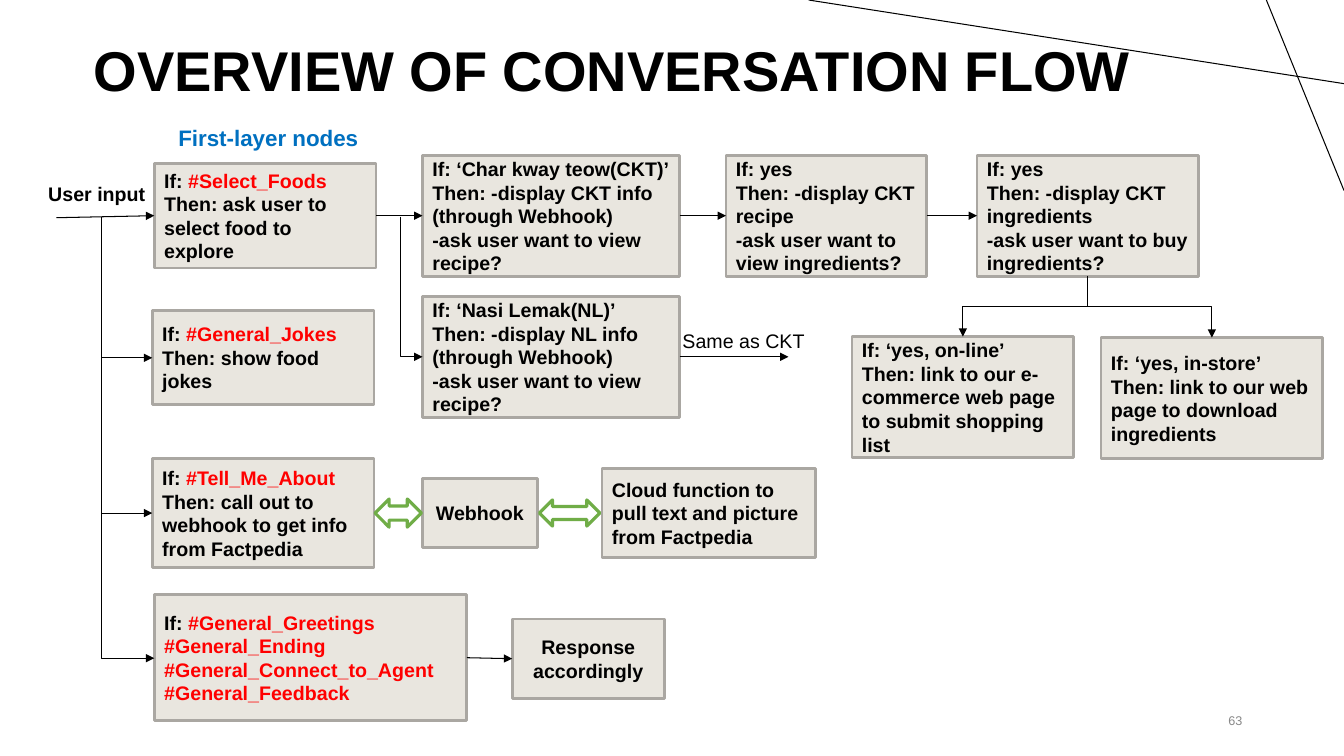
from lxml.etree import SubElement
from pptx import Presentation
from pptx.dml.color import RGBColor
from pptx.enum.shapes import MSO_CONNECTOR, MSO_SHAPE
from pptx.enum.text import MSO_ANCHOR, MSO_AUTO_SIZE, PP_ALIGN
from pptx.oxml.ns import qn
from pptx.util import Inches, Pt

COLORS = {
    "black": "000000",
    "intent": "FF0000",
    "heading": "0070C0",
    "number": "888888",
    "node": "E9E6DF",
    "border": "AAA7A2",
    "white": "FFFFFF",
    "exchange": "70AD47",
}
TOP, LEFT, BOTTOM, RIGHT = range(4)


class FlowSlide:
    """Draws the elements of a flow chart in one style on one slide."""

    def __init__(self, slide, font="Arial"):
        self.slide = slide
        self.shapes = slide.shapes
        self.font = font

    def color(self, name):
        return RGBColor.from_string(COLORS[name])

    def set_text(self, shape, text, size=14, color="black", bold=True,
                 align=PP_ALIGN.LEFT, anchor=MSO_ANCHOR.MIDDLE):
        frame = shape.text_frame
        frame.word_wrap = True
        frame.auto_size = MSO_AUTO_SIZE.NONE
        frame.vertical_anchor = anchor
        frame.text = text
        for paragraph in frame.paragraphs:
            paragraph.alignment = align
            before, mark, intent = paragraph.text.partition("#")
            if before and mark:
                paragraph.text = before
                paragraph.add_run().text = mark + intent
            for run in paragraph.runs:
                run.font.name = self.font
                run.font.size = Pt(size)
                run.font.bold = bold
                is_intent = run.text.startswith("#")
                run.font.color.rgb = self.color("intent" if is_intent else color)

    def title(self, left, top, width, height, text):
        shape = self.shapes.title
        shape.left, shape.top = Inches(left), Inches(top)
        shape.width, shape.height = Inches(width), Inches(height)
        self.set_text(shape, text, size=40, align=PP_ALIGN.CENTER)
        shape.text_frame.paragraphs[0].line_spacing = 0.9

    def label(self, left, top, width, height, text, **style):
        shape = self.shapes.add_textbox(
            Inches(left), Inches(top), Inches(width), Inches(height))
        self.set_text(shape, text, **style)

    def block(self, kind, left, top, width, height, fill, line, weight):
        shape = self.shapes.add_shape(
            kind, Inches(left), Inches(top), Inches(width), Inches(height))
        shape.shadow.inherit = False
        shape.fill.solid()
        shape.fill.fore_color.rgb = self.color(fill)
        shape.line.color.rgb = self.color(line)
        shape.line.width = Pt(weight)
        return shape

    def node(self, left, top, width, height, text, align=PP_ALIGN.LEFT):
        shape = self.block(MSO_SHAPE.RECTANGLE, left, top, width, height,
                           "node", "border", 2)
        self.set_text(shape, text, align=align)
        return shape

    def exchange(self, left, top, width, height):
        self.block(MSO_SHAPE.LEFT_RIGHT_ARROW, left, top, width, height,
                   "white", "exchange", 2.25)

    def line(self, begin, end, kind=MSO_CONNECTOR.STRAIGHT, arrow=True):
        connector = self.shapes.add_connector(
            kind, *(Inches(value) for value in (*begin, *end)))
        connector.line.color.rgb = self.color("black")
        connector.line.width = Pt(0.75)
        properties = connector._element.spPr
        if arrow:
            SubElement(properties.find(qn("a:ln")), qn("a:tailEnd"), type="triangle")
        SubElement(properties, qn("a:effectLst"))
        return connector

    def join(self, source, target):
        connector = self.line((0, 0), (1, 1))
        connector.begin_connect(source, RIGHT)
        connector.end_connect(target, LEFT)

    def elbow(self, begin, end, preset):
        """Draws an elbow arrow that leaves its start going down."""
        connector = self.line(begin, end, MSO_CONNECTOR.ELBOW)
        across, down = abs(end[0] - begin[0]), end[1] - begin[1]
        middle_x, middle_y = (begin[0] + end[0]) / 2, (begin[1] + end[1]) / 2
        connector.left = Inches(middle_x - down / 2)
        connector.top = Inches(middle_y - across / 2)
        connector.width, connector.height = Inches(down), Inches(across)
        properties = connector._element.spPr
        frame = properties.find(qn("a:xfrm"))
        rightward = end[0] > begin[0]
        frame.set("rot", "16200000" if rightward else "5400000")
        frame.set("flipH", "1" if rightward else "0")
        properties.find(qn("a:prstGeom")).set("prst", preset)


def main():
    presentation = Presentation()
    presentation.slide_width = Inches(13.33)
    presentation.slide_height = Inches(7.5)
    flow = FlowSlide(presentation.slides.add_slide(presentation.slide_layouts[5]))

    flow.line((13.33, 0.83), (8.02, 0), arrow=False)
    flow.line((12.56, 0), (13.33, 1.89), arrow=False)
    flow.title(0.51, 0, 11.12, 1.45, "OVERVIEW OF CONVERSATION FLOW")
    flow.label(1.67, 1.18, 2.17, 0.37, "First-layer nodes", size=16,
               color="heading", anchor=MSO_ANCHOR.TOP)
    flow.label(0.38, 1.76, 1.17, 0.34, "User input", anchor=MSO_ANCHOR.TOP)
    flow.label(6.67, 3.21, 1.42, 0.34, "Same as CKT", bold=False,
               anchor=MSO_ANCHOR.TOP)
    flow.label(9.42, 6.95, 3, 0.4, "63", size=9, color="number", bold=False,
               align=PP_ALIGN.RIGHT)

    foods = flow.node(1.53, 1.62, 2.2, 1.04,
                      "If: #Select_Foods\nThen: ask user to select food to explore")
    flow.node(1.51, 3.08, 2.2, 0.93, "If: #General_Jokes\nThen: show food jokes")
    flow.node(1.51, 4.55, 2.2, 1.08,
              "If: #Tell_Me_About\nThen: call out to webhook to get info from Factpedia")
    general = flow.node(1.53, 5.9, 3.1, 1.25,
                        "If: #General_Greetings\n#General_Ending\n"
                        "#General_Connect_to_Agent\n#General_Feedback")

    dishes = []
    for top, name, short in ((1.54, "Char kway teow", "CKT"), (2.94, "Nasi Lemak", "NL")):
        dishes.append(flow.node(
            4.19, top, 2.55, 1.2,
            f"If: ‘{name}({short})’\nThen: -display {short} info (through Webhook)\n"
            "-ask user want to view recipe?"))
    ckt, nasi_lemak = dishes
    recipe = flow.node(7.2, 1.54, 1.99, 1.2,
                       "If: yes\nThen: -display CKT recipe\n"
                       "-ask user want to view ingredients?")
    ingredients = flow.node(9.69, 1.54, 2.2, 1.2,
                            "If: yes\nThen: -display CKT ingredients\n"
                            "-ask user want to buy ingredients?")
    flow.node(8.45, 3.34, 2.2, 1.2,
              "If: ‘yes, on-line’\nThen: link to our e-commerce web page "
              "to submit shopping list")
    flow.node(10.92, 3.35, 2.2, 1.2,
              "If: ‘yes, in-store’\nThen: link to our web page to download ingredients")

    flow.node(4.19, 4.75, 1.14, 0.68, "Webhook", PP_ALIGN.CENTER)
    flow.node(5.97, 4.65, 2.12, 0.88,
              "Cloud function to pull text and picture from Factpedia")
    response = flow.node(5.08, 6.14, 1.51, 0.79, "Response accordingly", PP_ALIGN.CENTER)
    flow.exchange(3.72, 4.95, 0.46, 0.28)
    flow.exchange(5.35, 4.96, 0.6, 0.26)

    for source, target in ((foods, ckt), (ckt, recipe), (recipe, ingredients),
                           (general, response)):
        flow.join(source, target)
    flow.line((0.56, 2.16), (1.53, 2.14)).end_connect(foods, LEFT)
    flow.line((6.74, 3.54), (7.82, 3.54)).begin_connect(nasi_lemak, RIGHT)

    for begin, end in (((3.97, 2.15), (4.19, 3.54)), ((1.01, 2.15), (1.51, 3.55)),
                       ((1.01, 2.15), (1.51, 5.09)), ((1.01, 2.15), (1.53, 6.53))):
        flow.elbow(begin, end, "bentConnector2")
    for end in ((9.55, 3.34), (12.02, 3.35)):
        flow.elbow((10.79, 2.74), end, "bentConnector3")

    presentation.save("out.pptx")


if __name__ == "__main__":
    main()
